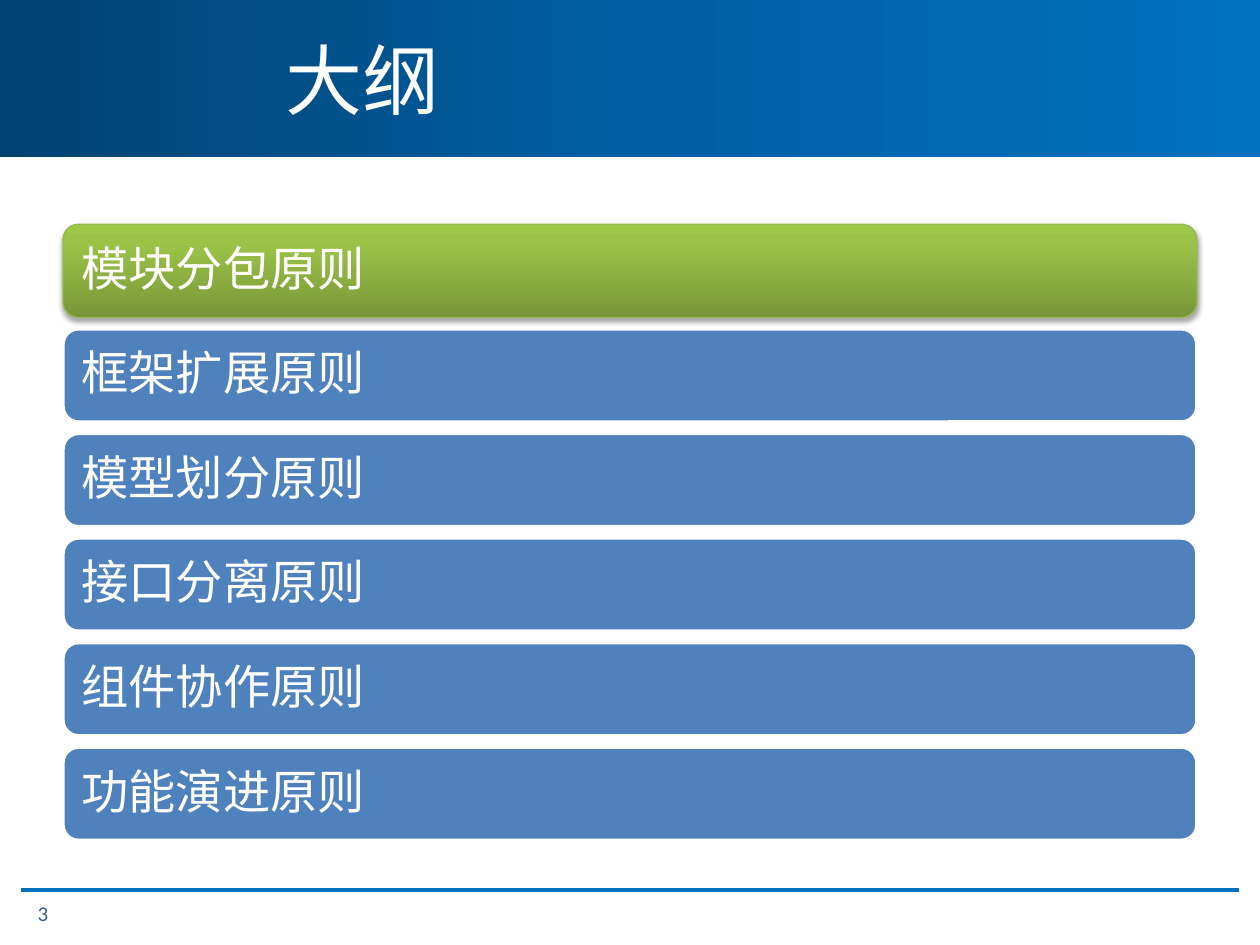
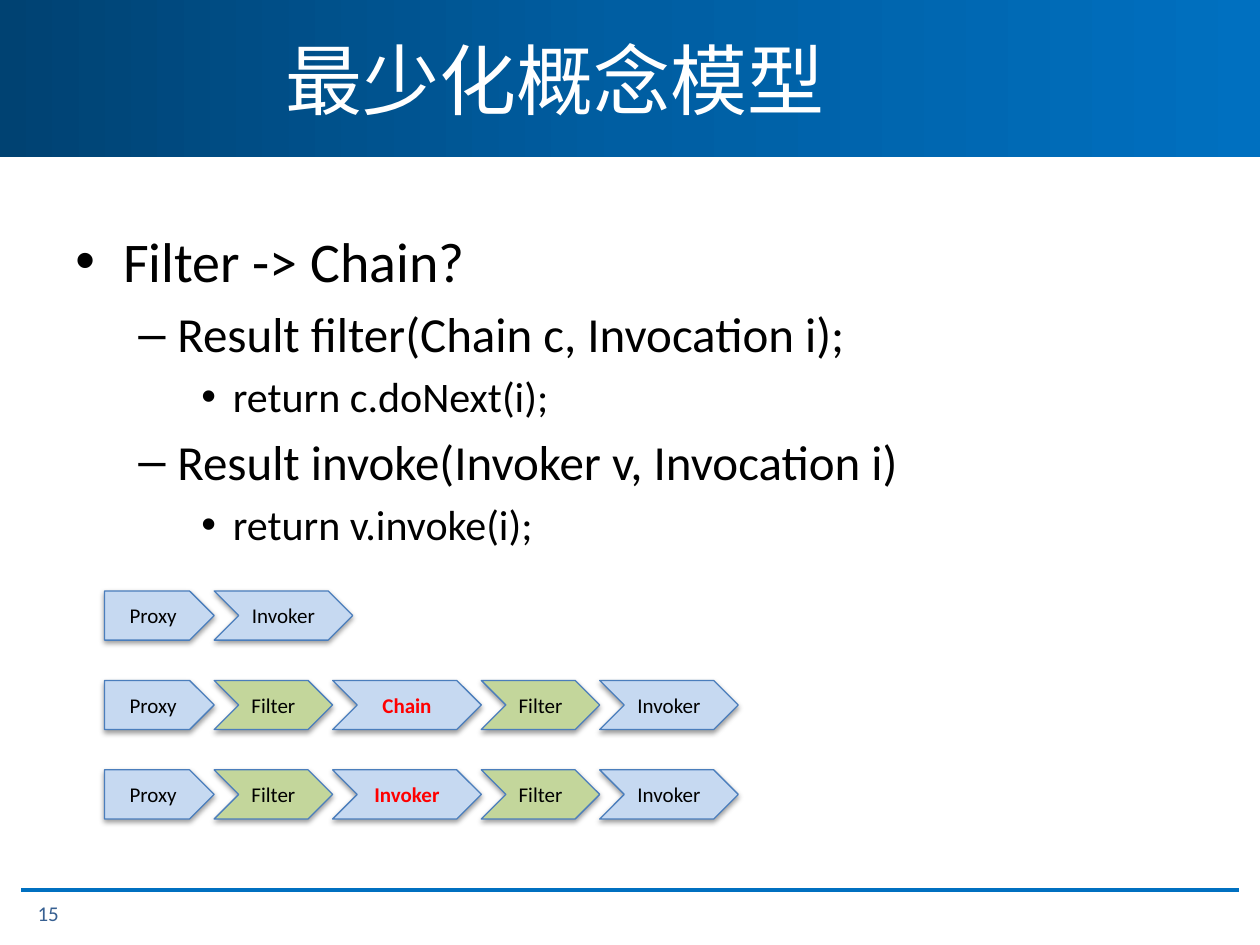
from lxml import etree
from pptx import Presentation
from pptx.dml.color import RGBColor
from pptx.enum import shapes, text
from pptx.oxml import ns
from pptx.util import Inches, Pt

FONT = "Calibri"
WHITE = RGBColor(0xFF, 0xFF, 0xFF)
BLACK = RGBColor(0, 0, 0)
RED = RGBColor(0xFF, 0, 0)
RULE_BLUE = RGBColor(0x00, 0x70, 0xC0)
NUMBER_BLUE = RGBColor(0x37, 0x60, 0x92)
TOPIC_BLUE = RGBColor(0x4F, 0x81, 0xBD)
TOPIC_GREEN_EDGE = RGBColor(0x98, 0xB9, 0x55)
STEP_BLUE = RGBColor(0xC6, 0xD9, 0xF1)
STEP_GREEN = RGBColor(0xC3, 0xD6, 0x9B)
STEP_EDGE = RGBColor(0x4B, 0x7E, 0xBC)

# Gradients: stops of (percent, colour)
BAND_STOPS = [(0, RGBColor(0x00, 0x42, 0x72)), (50, RGBColor(0x00, 0x5E, 0xA2)),
              (100, RULE_BLUE)]
TOPIC_STOPS = [(0, RGBColor(0x77, 0x97, 0x37)), (80, RGBColor(0x9B, 0xC3, 0x48)),
               (100, RGBColor(0x9D, 0xC7, 0x46))]

TOPICS = ["模块分包原则", "框架扩展原则", "模型划分原则",
          "接口分离原则", "组件协作原则", "功能演进原则"]

# Outline levels: bullet, text indent, hanging indent, size
LEVELS = [("•", 0.38, 0.38, 32), ("–", 0.81, 0.31, 28), ("•", 1.25, 0.25, 24)]
OUTLINE = [(0, "Filter -> Chain?"),
           (1, "Result filter(Chain c, Invocation i);"),
           (2, "return c.doNext(i);"),
           (1, "Result invoke(Invoker v, Invocation i)"),
           (2, "return v.invoke(i);")]

# Steps of the call chains: label, width, fill, highlighted
PROXY = ("Proxy", 0.87, STEP_BLUE, False)
FILTER = ("Filter", 0.94, STEP_GREEN, False)
INVOKER = ("Invoker", 1.1, STEP_BLUE, False)
CHAINS = [[PROXY, INVOKER]] + [
    [PROXY, FILTER, (link, 1.18, STEP_BLUE, True), FILTER, INVOKER]
    for link in ("Chain", "Invoker")]


def add_xml(parent, tag, **attributes):
    return etree.SubElement(parent, ns.qn(tag),
                            {key: str(value) for key, value in attributes.items()})


def box(area):
    return [Inches(length) for length in area]


def write(frame, words, size, color, bold=False, align=text.PP_ALIGN.LEFT,
          anchor=text.MSO_ANCHOR.MIDDLE, wrap=True, inset=None, spacing=None,
          new=False):
    """Write one paragraph, or add it after the others when new is set."""
    frame.word_wrap = wrap
    frame.vertical_anchor = anchor
    if inset is not None:
        frame.margin_left = frame.margin_right = Inches(inset)
        frame.margin_top = frame.margin_bottom = Inches(inset)
    paragraph = frame.add_paragraph() if new else frame.paragraphs[0]
    paragraph.alignment = align
    if spacing is not None:
        paragraph.line_spacing = spacing
    run = paragraph.add_run()
    run.text = words
    run.font.name = FONT
    run.font.size = Pt(size)
    run.font.bold = bold
    run.font.color.rgb = color
    return paragraph


def add_text(slide, area, words, **style):
    write(slide.shapes.add_textbox(*box(area)).text_frame, words, **style)


def fill_gradient(shape, stops, angle):
    shape.fill.gradient()
    shape.fill.gradient_angle = angle
    stop_list = shape.fill._fill._gradFill.find(ns.qn("a:gsLst"))
    for old_stop in list(stop_list):
        stop_list.remove(old_stop)
    for percent, color in stops:
        stop = add_xml(stop_list, "a:gs", pos=percent * 1000)
        add_xml(stop, "a:srgbClr", val=color)


def add_shadow(shape, opacity, blur, distance):
    effects = shape._element.spPr.find(ns.qn("a:effectLst"))
    shadow = add_xml(effects, "a:outerShdw", blurRad=Pt(blur), dist=Pt(distance),
                     dir=90 * 60000, rotWithShape=0)
    color = add_xml(shadow, "a:srgbClr", val=BLACK)
    add_xml(color, "a:alpha", val=opacity * 1000)


def add_shape(slide, kind, area, fill=None, edge=None, edge_width=0.75):
    shape = slide.shapes.add_shape(kind, *box(area))
    shape.shadow.inherit = False
    if fill is not None:
        shape.fill.solid()
        shape.fill.fore_color.rgb = fill
    if edge is None:
        shape.line.fill.background()
    else:
        shape.line.color.rgb = edge
        shape.line.width = Pt(edge_width)
    return shape


def add_base_slide(deck, title, number):
    """Blank slide with the title band, footer rule and slide number."""
    slide = deck.slides.add_slide(deck.slide_layouts[6])
    band = add_shape(slide, shapes.MSO_SHAPE.RECTANGLE, (0, 0, 10, 1.25))
    fill_gradient(band, BAND_STOPS, 0)
    rule = slide.shapes.add_connector(shapes.MSO_CONNECTOR.STRAIGHT,
                                      *box((0.17, 7.06, 9.83, 7.06)))
    rule.line.color.rgb = RULE_BLUE
    rule.line.width = Pt(2.25)
    add_xml(rule._element.spPr, "a:effectLst")
    add_text(slide, (2.17, 0, 7.83, 1.25), title, size=44, color=WHITE)
    add_text(slide, (0.2, 7.05, 1.1, 0.4), str(number), size=12, color=NUMBER_BLUE)
    return slide


def add_topics(slide, topics, current):
    for index, topic in enumerate(topics):
        area = (0.5, 1.78 + index * 0.83, 9, 0.74)
        kind = shapes.MSO_SHAPE.ROUNDED_RECTANGLE
        if index == current:
            bar = add_shape(slide, kind, area, edge=TOPIC_GREEN_EDGE)
            fill_gradient(bar, TOPIC_STOPS, 90)
            add_shadow(bar, 35, 3.1, 1.8)
        else:
            bar = add_shape(slide, kind, area, TOPIC_BLUE, WHITE, 2)
        write(bar.text_frame, topic, size=27, color=WHITE, inset=0.11, spacing=0.9)


def add_outline(slide, area, lines):
    frame = slide.shapes.add_textbox(*box(area)).text_frame
    for index, (level, words) in enumerate(lines):
        bullet, indent, hanging, size = LEVELS[level]
        paragraph = write(frame, words, size=size, color=BLACK, new=index > 0,
                          anchor=text.MSO_ANCHOR.TOP)
        paragraph.level = level
        paragraph.space_before = Pt(size * 0.2)
        properties = paragraph._p.get_or_add_pPr()
        properties.set("marL", str(Inches(indent)))
        properties.set("indent", str(-Inches(hanging)))
        add_xml(properties, "a:buFont", typeface="Arial")
        add_xml(properties, "a:buChar", char=bullet)


def add_chain(slide, top, steps):
    left = 0.83
    for index, (label, width, fill, highlighted) in enumerate(steps):
        kind = shapes.MSO_SHAPE.CHEVRON if index else shapes.MSO_SHAPE.PENTAGON
        step = add_shape(slide, kind, (left, top, width, 0.39), fill, STEP_EDGE)
        add_shadow(step, 38, 3.1, 1.6)
        write(step.text_frame, label, size=12, color=RED if highlighted else BLACK,
              bold=highlighted, align=text.PP_ALIGN.CENTER, wrap=False)
        left += width


def main():
    deck = Presentation()
    deck.slide_width, deck.slide_height = Inches(10), Inches(7.5)

    # Agenda with the current topic highlighted
    agenda = add_base_slide(deck, "大纲", 3)
    add_topics(agenda, TOPICS, current=0)

    # Outline of the concept model above its call chains
    model = add_base_slide(deck, "最少化概念模型", 15)
    add_outline(model, (0.5, 1.75, 9, 2.87), OUTLINE)
    for row, steps in enumerate(CHAINS):
        add_chain(model, 4.69 + row * 0.71, steps)

    deck.save("out.pptx")


main()
